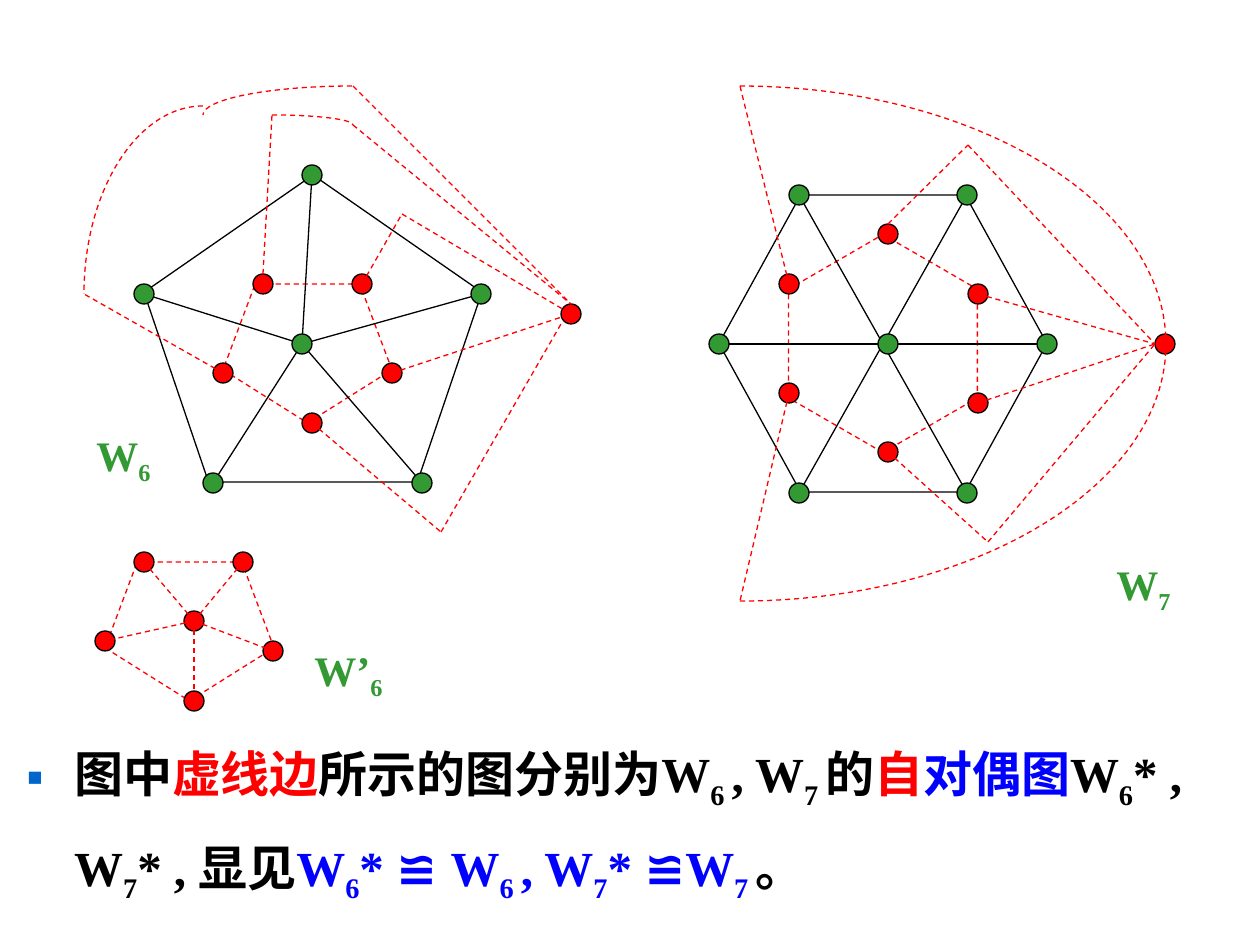
from dataclasses import dataclass
from typing import NamedTuple

from lxml import etree
from pptx import Presentation
from pptx import util as u
from pptx.dml.color import RGBColor
from pptx.enum import dml, shapes
from pptx.oxml import ns

PX = u.Inches(1) / 126
NODE = 20  # node diameter in px
ROUND = 0.55  # reach of the Bézier handles of a quarter ellipse
COLORS = {"black": "000000", "red": "FF0000", "green": "339933",
          "blue": "0000FF", "bullet": "0066CC"}

Point = tuple[int, int]


class Span(NamedTuple):
    text: str
    color: str = "black"
    sub: bool = False
    font: str | None = None


class Outline(NamedTuple):
    kind: shapes.MSO_SHAPE
    left: int
    top: int
    width: int
    height: int
    color: str = "black"
    adjust: float | None = None
    rotation: int = 0
    flipped: bool = False


class Label(NamedTuple):
    left: int
    top: int
    width: int
    name: str
    index: str


@dataclass
class Graph:
    outlines: list[Outline]
    spokes: list[tuple[Point, Point]]
    green_nodes: list[Point]
    red_nodes: list[Point]
    dashed_edges: list[tuple[Point, Point]]
    arcs: list[tuple[Point, Point]]  # from the horizontal to the vertical tangent
    label: Label


def emu(px: float) -> int:
    return round(px * PX)


def rgb(color: str) -> RGBColor:
    return RGBColor.from_string(COLORS[color])


def style_line(line, color: str) -> None:
    line.color.rgb = rgb(color)
    line.width = u.Pt(0.75)
    if color == "red":
        line.dash_style = dml.MSO_LINE.DASH


def draw_outline(page, item: Outline) -> None:
    shape = page.shapes.add_shape(item.kind, *map(emu, item[1:5]))
    shape.shadow.inherit = False
    shape.fill.background()
    style_line(shape.line, item.color)
    shape.rotation = item.rotation
    if item.adjust is not None:
        shape.adjustments[0] = item.adjust
    if item.flipped:
        shape._element.spPr.xfrm.set("flipV", "1")


def draw_edge(page, start: Point, end: Point, color: str) -> None:
    edge = page.shapes.add_connector(
        shapes.MSO_CONNECTOR.STRAIGHT, *map(emu, start + end))
    style_line(edge.line, color)
    etree.SubElement(edge._element.spPr, ns.qn("a:effectLst"))


def draw_node(page, center: Point, color: str) -> None:
    left, top = (emu(value - NODE / 2) for value in center)
    node = page.shapes.add_shape(
        shapes.MSO_SHAPE.OVAL, left, top, emu(NODE), emu(NODE))
    node.shadow.inherit = False
    node.fill.solid()
    node.fill.fore_color.rgb = rgb(color)
    style_line(node.line, "black")


def draw_arc(page, start: Point, end: Point) -> None:
    """Draw a quarter of an ellipse as one Bézier curve."""
    builder = page.shapes.build_freeform(*map(emu, start))
    builder.add_line_segments([tuple(map(emu, end))], close=False)
    arc = builder.convert_to_shape()
    # Bend the straight segment
    x1, y1, x2, y2 = (int(point.get(axis))
                      for point in arc._element.iter(ns.qn("a:pt"))
                      for axis in "xy")
    segment = next(arc._element.iter(ns.qn("a:lnTo")))
    curve = etree.Element(ns.qn("a:cubicBezTo"))
    for x, y in ((x1 + ROUND * (x2 - x1), y1),
                 (x2, y2 + ROUND * (y1 - y2)), (x2, y2)):
        etree.SubElement(curve, ns.qn("a:pt"), x=str(round(x)), y=str(round(y)))
    segment.getparent().replace(segment, curve)
    arc.shadow.inherit = False
    arc.fill.background()
    style_line(arc.line, "red")


def add_text(page, left: int, top: int, width: int, height: int):
    box = page.shapes.add_textbox(*map(emu, (left, top, width, height)))
    box.text_frame.word_wrap = True
    return box.text_frame.paragraphs[0]


def fill_para(para, spans: list[Span], size: int) -> None:
    para.font.name = "Times New Roman"
    para.font.size = u.Pt(size)
    para.font.bold = True
    for item in spans:
        span = para.add_run()
        span.text = item.text
        span.font.color.rgb = rgb(item.color)
        if item.font:
            span.font.name = item.font
        if item.sub:
            span.font._element.set("baseline", "-25000")


def add_bullet(para, char: str) -> None:
    props = para._p.get_or_add_pPr()
    props.set("marL", str(u.Inches(0.38)))
    props.set("indent", str(-u.Inches(0.38)))
    color = etree.SubElement(props, ns.qn("a:buClr"))
    etree.SubElement(color, ns.qn("a:srgbClr"), val=COLORS["bullet"])
    etree.SubElement(props, ns.qn("a:buFont"), typeface="Times New Roman")
    etree.SubElement(props, ns.qn("a:buChar"), char=char)


def draw_graph(page, graph: Graph) -> None:
    for outline in graph.outlines:
        draw_outline(page, outline)
    for start, end in graph.spokes:
        draw_edge(page, start, end, "black")
    for color, nodes in (("green", graph.green_nodes), ("red", graph.red_nodes)):
        for center in nodes:
            draw_node(page, center, color)
    for start, end in graph.dashed_edges:
        draw_edge(page, start, end, "red")
    for start, end in graph.arcs:
        draw_arc(page, start, end)
    left, top, width, name, index = graph.label
    fill_para(add_text(page, left, top, width, 71),
              [Span(name, "green"), Span(index, "green", True)], 24)


PENTAGON, HEXAGON = shapes.MSO_SHAPE.REGULAR_PENTAGON, shapes.MSO_SHAPE.HEXAGON

# Wheel with five spokes and its dual
W6_HUB = (302, 344)
W6_RIM = [(422, 483), (213, 483), (481, 294), (312, 175), (144, 294)]
W6 = Graph(
    [Outline(PENTAGON, 144, 175, 338, 307),
     Outline(PENTAGON, 223, 284, 169, 139, "red", flipped=True)],
    [(W6_HUB, rim) for rim in W6_RIM],
    W6_RIM + [W6_HUB],
    [(392, 373), (312, 423), (223, 373), (362, 284), (263, 284), (571, 314)],
    [((392, 373), (571, 314)), ((353, 125), (571, 304)),
     ((362, 284), (402, 214)), ((402, 214), (571, 314)),
     ((312, 423), (441, 532)), ((441, 532), (561, 324)),
     ((223, 373), (84, 294)), ((353, 86), (571, 304)),
     ((263, 274), (272, 115))],
    [((272, 115), (353, 125)), ((352, 86), (203, 115)), ((203, 106), (84, 294))],
    Label(84, 423, 100, "W", "6"))

# Wheel with six spokes and its dual
W7_RIM = [(719, 344), (799, 195), (967, 195), (1047, 344), (967, 493), (799, 493)]
W7 = Graph(
    [Outline(HEXAGON, 719, 195, 328, 297, adjust=0.275),
     Outline(HEXAGON, 774, 249, 218, 189, "red", 0.289, 270)],
    list(zip(W7_RIM[:3], W7_RIM[3:])),
    W7_RIM + [(888, 344)],
    [(1165, 344), (978, 403), (978, 294), (789, 393), (789, 284),
     (888, 452), (888, 234)],
    [((978, 403), (1155, 344)), ((978, 294), (1155, 344)),
     ((888, 452), (988, 542)), ((988, 542), (1155, 344)),
     ((888, 224), (968, 145)), ((968, 145), (1155, 344)),
     ((789, 284), (740, 86)), ((789, 393), (740, 601))],
    [((740, 86), (1166, 344)), ((740, 601), (1166, 344))],
    Label(1104, 552, 91, "W", "7"))

# The dual redrawn as a wheel
DUAL_HUB = (194, 621)
DUAL_RIM = [(273, 651), (194, 701), (243, 562), (144, 562), (105, 641)]
W6_DUAL = Graph(
    [Outline(PENTAGON, 105, 562, 169, 139, "red", flipped=True)],
    [], [], DUAL_RIM + [DUAL_HUB], [(DUAL_HUB, rim) for rim in DUAL_RIM], [],
    Label(302, 638, 118, "W’", "6"))

# An en space sets the two isomorphisms apart
STATEMENT = [
    Span("图中"), Span("虚线边", "red"), Span("所示的图分别为W"),
    Span("6 ", sub=True), Span(", W"), Span("7 ", sub=True), Span("的"),
    Span("自", "red"), Span("对偶图", "blue"), Span("W"), Span("6", sub=True),
    Span("* , W"), Span("7", sub=True), Span("* , 显见"),
    Span("W", "blue"), Span("6", "blue", True), Span("* ", "blue"),
    Span("≌ ", "blue", font="Arial"), Span("W", "blue"), Span("6 ", "blue", True),
    Span(", W", "blue"), Span("7", "blue", True), Span("* ", "blue"),
    Span("≌", "blue", font="Arial"), Span("W", "blue"), Span("7 ", "blue", True),
    Span("。")]


def main() -> None:
    deck = Presentation()
    deck.slide_width, deck.slide_height = u.Inches(10), u.Inches(7.5)
    page = deck.slides.add_slide(deck.slide_layouts[6])

    # Statement below the graphs
    para = add_text(page, 14, 711, 1235, 208)
    add_bullet(para, "▪")
    para.line_spacing = 1.4
    fill_para(para, STATEMENT, 28)

    # Graphs with their labels
    for graph in (W6, W7, W6_DUAL):
        draw_graph(page, graph)
    deck.save("out.pptx")


if __name__ == "__main__":
    main()
